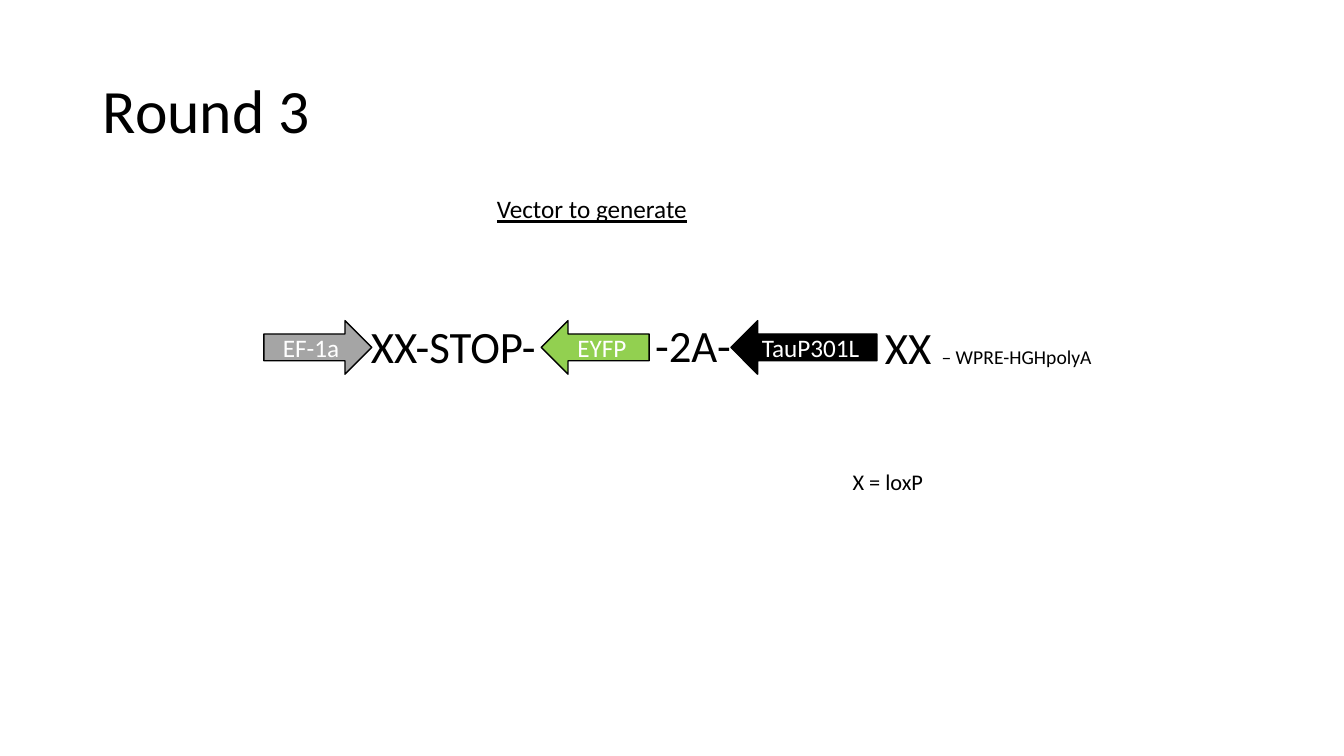
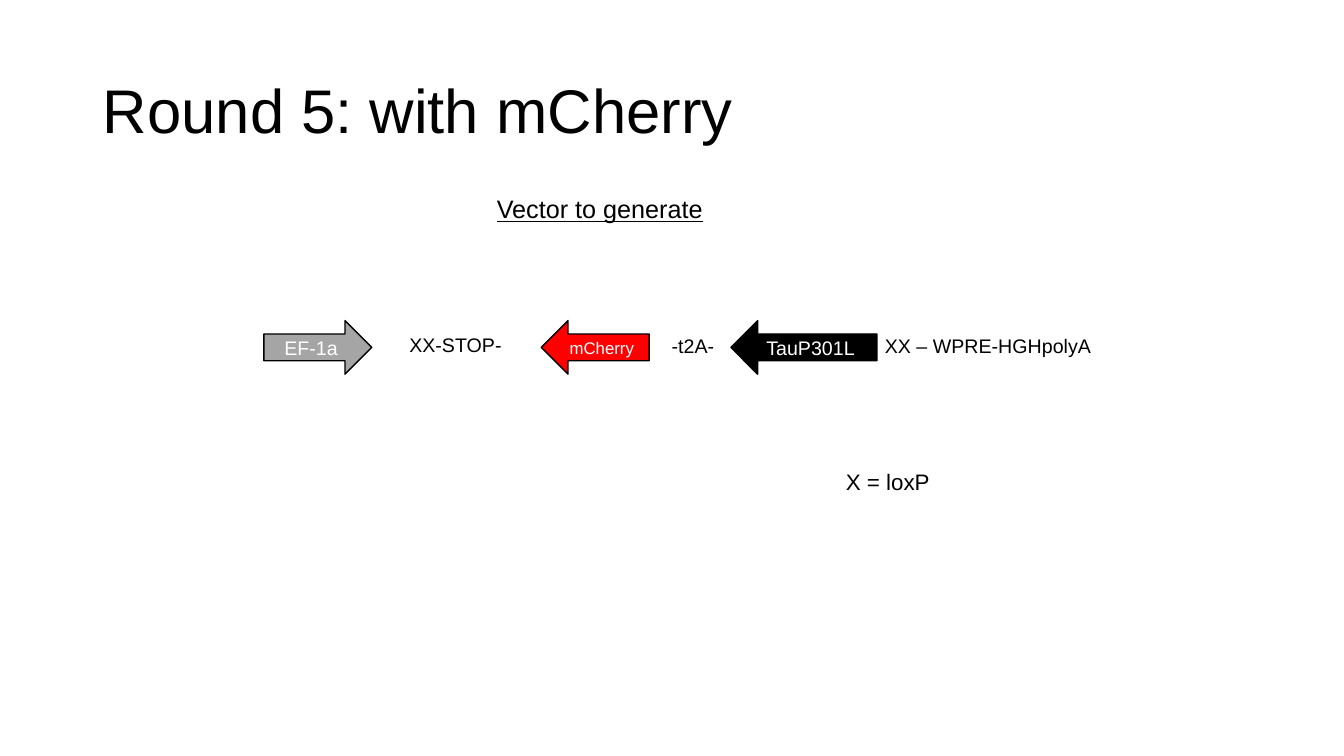
from pptx import Presentation
from pptx.dml.color import RGBColor
from pptx.enum.shapes import MSO_SHAPE as Preset
from pptx.enum.text import MSO_ANCHOR as Anchor, MSO_AUTO_SIZE as AutoSize, PP_ALIGN as Align
from pptx.util import Cm, Pt

COLORS = {"black": "000000", "white": "FFFFFF", "promoter": "A5A5A5", "eyfp": "92D050", "mcherry": "FF0000"}

TITLE_AREA = (2.34, 1.02, 29.21, 3.68)
HEADING_AREA = (12.27, 4.75, 6.15, 1.02)
LEGEND_AREA = (20.75, 11.66, 3.25, 0.94)
ARROW_TOP, ARROW_HEIGHT = 8.08, 1.35
ARROWS = [(Preset.RIGHT_ARROW, 6.65, 2.72), (Preset.LEFT_ARROW, 13.64, 2.72), (Preset.LEFT_ARROW, 18.42, 3.68)]

SLIDES = [
    {
        "title": "Round 3",
        "font": "Calibri",
        "grouped": False,
        "genes": [("EF-1a", 18, "promoter"), ("EYFP", 18, "eyfp"), ("TauP301L", 18, "black")],
        "label_height": 1.63,
        "labels": [
            (22.05, 7.92, 10.26, Align.LEFT, [("XX ", 32), ("– WPRE-HGHpolyA", 14)]),
            (8.92, 7.9, 5.26, Align.CENTER, [("XX-STOP- ", 32)]),
            (16.08, 7.87, 2.77, Align.CENTER, [("-2A-", 32)]),
        ],
    },
    {
        "title": "Round 5: with mCherry",
        "font": "Arial",
        "grouped": True,
        "genes": [("EF-1a", 14, "promoter"), ("mCherry", 12, "mcherry"), ("TauP301L", 14, "black")],
        "label_height": 0.86,
        "labels": [
            (22.05, 8.28, 6.27, Align.LEFT, [("XX – WPRE-HGHpolyA", 14)]),
            (8.92, 8.26, 5.26, Align.CENTER, [("XX-STOP- ", 14)]),
            (16.08, 8.28, 2.77, Align.CENTER, [("-t2A-", 14)]),
        ],
    },
]


def rgb(name):
    return RGBColor.from_string(COLORS[name])


def write(box, pieces, font, color="black", align=Align.LEFT, underline=None):
    para = box.text_frame.paragraphs[0]
    para.alignment = align
    for text, size in pieces:
        span = para.add_run()
        span.text = text
        for name, value in {"name": font, "size": Pt(size), "underline": underline}.items():
            setattr(span.font, name, value)
        span.font.color.rgb = rgb(color)
    return para


def add_label(shapes, area, pieces, font, **style):
    box = shapes.add_textbox(*map(Cm, area))
    box.text_frame.word_wrap = True
    box.text_frame.auto_size = AutoSize.SHAPE_TO_FIT_TEXT
    write(box, pieces, font, **style)


def add_gene(shapes, arrow, gene, font):
    preset, left, width = arrow
    text, size, color = gene
    shape = shapes.add_shape(preset, *map(Cm, (left, ARROW_TOP, width, ARROW_HEIGHT)))
    shape.shadow.inherit = False
    shape.fill.solid()
    shape.fill.fore_color.rgb = rgb(color)
    shape.line.color.rgb = rgb("black")
    shape.line.width = Pt(1)
    shape.text_frame.vertical_anchor = Anchor.MIDDLE
    write(shape, [(text, size)], font, color="white", align=Align.CENTER)


def add_title(page, text, font):
    title = page.shapes.title
    for name, value in zip(("left", "top", "width", "height"), TITLE_AREA):
        setattr(title, name, Cm(value))
    title.text_frame.auto_size = AutoSize.NONE
    title.text_frame.vertical_anchor = Anchor.MIDDLE
    write(title, [(text, 44)], font).line_spacing = 0.9


def build_slide(deck, content):
    page = deck.slides.add_slide(deck.slide_layouts[5])
    font = content["font"]
    add_title(page, content["title"], font)
    add_label(page.shapes, HEADING_AREA, [("Vector to generate", 18)], font, underline=True)
    shapes = page.shapes.add_group_shape().shapes if content["grouped"] else page.shapes
    for arrow, gene in zip(ARROWS, content["genes"]):
        add_gene(shapes, arrow, gene, font)
    for left, top, width, align, pieces in content["labels"]:
        add_label(shapes, (left, top, width, content["label_height"]), pieces, font, align=align)
    add_label(shapes, LEGEND_AREA, [("X = loxP", 16)], font, align=Align.CENTER)


def main():
    deck = Presentation()
    deck.slide_width, deck.slide_height = Cm(33.87), Cm(19.05)
    for content in SLIDES:
        build_slide(deck, content)
    deck.save("out.pptx")


if __name__ == "__main__":
    main()
